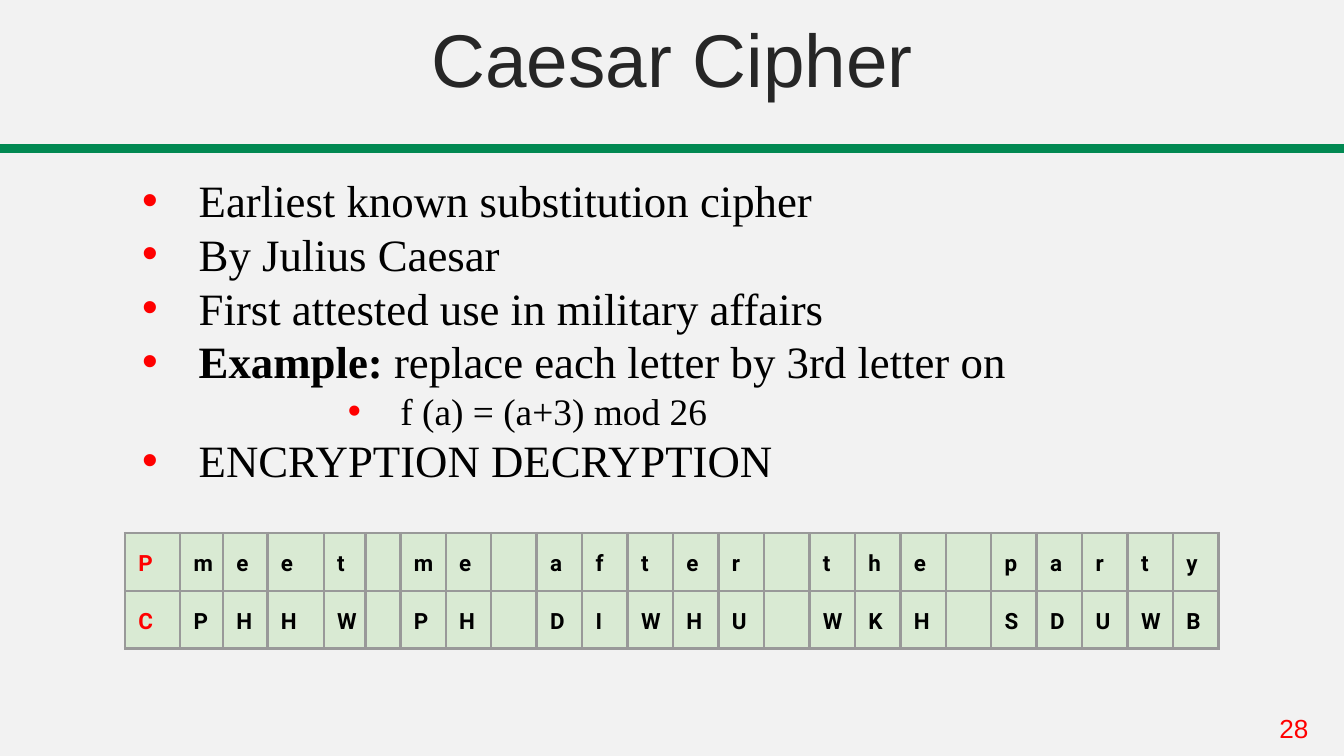
from typing import NamedTuple

from lxml.etree import SubElement
from pptx import Presentation
from pptx.dml.color import RGBColor
from pptx.enum.shapes import MSO_SHAPE as Shape
from pptx.enum.text import MSO_ANCHOR as Anchor, PP_ALIGN as Align
from pptx.oxml.ns import qn
from pptx.util import Inches, Pt

COLORS = {
    "background": "F2F2F2", "bar": "018952", "title": "262626", "text": "000000",
    "accent": "FF0000", "cell": "D9EAD3", "border": "999999",
}
WIDTH = Inches(10)
HEIGHT = WIDTH * 9 // 16


class Region(NamedTuple):
    """A place on a grid of 100 columns by 100 rows."""
    column: float
    row: float
    columns: float
    rows: float

    def lengths(self) -> list[int]:
        sides = (WIDTH, HEIGHT, WIDTH, HEIGHT)
        return [round(share * side / 100) for share, side in zip(self, sides)]


class Style(NamedTuple):
    font: str
    size: float
    color: str
    bold: bool = False


class Bullet(NamedTuple):
    text: str
    lead: str = ""
    level: int = 0
    size: int = 24
    indent: float = 0.5
    hanging: float = 0.42
    before: float = 0


BULLETS = [
    Bullet("Earliest known substitution cipher", before=2.5),
    Bullet("By Julius Caesar"),
    Bullet("First attested use in military affairs"),
    Bullet("replace each letter by 3rd letter on", lead="Example: "),
    Bullet("f (a) = (a+3) mod 26", level=3, size=20, indent=2, hanging=0.39),
    Bullet("ENCRYPTION DECRYPTION"),
]
MESSAGE = "meet me after the party"
SHIFT = 3
# The first columns vary; the rest share what is left of the table's width
TABLE = Region(9.3, 70.5, 81.4, 14.6)
FIRST_COLUMNS = [4.1, 3.2, 3.3, 4.2, 3.1, 2.6]
OTHER_COUNT = 1 + len(MESSAGE) - len(FIRST_COLUMNS)
COLUMN_SHARES = FIRST_COLUMNS + [(TABLE.columns - sum(FIRST_COLUMNS)) / OTHER_COUNT] * OTHER_COUNT


def rgb(name: str) -> RGBColor:
    return RGBColor.from_string(COLORS[name])


def style_font(para, style: Style) -> None:
    font = para.font
    font.name, font.size, font.bold = style.font, Pt(style.size), style.bold
    font.color.rgb = rgb(style.color)


def add_frame(page, region: Region):
    frame = page.shapes.add_textbox(*region.lengths()).text_frame
    frame.word_wrap = True
    return frame


def add_label(page, region: Region, text: str, style: Style,
              align=Align.LEFT, anchor=Anchor.TOP) -> None:
    frame = add_frame(page, region)
    frame.vertical_anchor = anchor
    para = frame.paragraphs[0]
    para.text, para.alignment = text, align
    style_font(para, style)


def add_bullets(page, region: Region, bullets: list[Bullet]) -> None:
    frame = add_frame(page, region)
    for index, bullet in enumerate(bullets):
        para = frame.add_paragraph() if index else frame.paragraphs[0]
        para.level = bullet.level
        para.space_before = Pt(bullet.before)
        style_font(para, Style("Times New Roman", bullet.size, "text"))
        if bullet.lead:
            span = para.add_run()
            span.text, span.font.bold = bullet.lead, True
        para.add_run().text = bullet.text
        props = para._p.get_or_add_pPr()
        props.set("marL", str(Inches(bullet.indent)))
        props.set("indent", str(-Inches(bullet.hanging)))
        # Bullet settings belong before the default run settings
        defaults = props.find(qn("a:defRPr"))
        color = SubElement(props, qn("a:buClr"))
        SubElement(color, qn("a:srgbClr"), val=COLORS["accent"])
        face = SubElement(props, qn("a:buFont"), typeface="Arial")
        mark = SubElement(props, qn("a:buChar"), char="•")
        for part in (color, face, mark):
            defaults.addprevious(part)


def add_borders(cell) -> None:
    props = cell._tc.get_or_add_tcPr()
    for side in ("lnL", "lnR", "lnT", "lnB"):
        line = SubElement(props, qn(f"a:{side}"), w=str(Pt(1.5)))
        fill = SubElement(line, qn("a:solidFill"))
        SubElement(fill, qn("a:srgbClr"), val=COLORS["border"])


def fill_cell(cell, text: str, color: str) -> None:
    add_borders(cell)
    cell.fill.solid()
    cell.fill.fore_color.rgb = rgb("cell")
    cell.margin_left = cell.margin_right = Inches(0.1)
    cell.margin_top = cell.margin_bottom = Inches(0.1)
    para = cell.text_frame.paragraphs[0]
    para.text, para.line_spacing = text, 1.15
    style_font(para, Style("Roboto", 12, color, bold=True))


def encrypt(message: str) -> str:
    return "".join(
        chr((ord(letter) - ord("a") + SHIFT) % 26 + ord("A")) if letter.isalpha() else letter
        for letter in message)


def add_cipher_table(page, region: Region) -> None:
    lines = ["P" + MESSAGE, "C" + encrypt(MESSAGE)]
    table = page.shapes.add_table(len(lines), len(COLUMN_SHARES), *region.lengths()).table
    for table_column, share in zip(table.columns, COLUMN_SHARES):
        table_column.width = round(WIDTH * share / 100)
    for table_row, line in zip(table.rows, lines):
        for index, (cell, letter) in enumerate(zip(table_row.cells, line)):
            fill_cell(cell, letter.strip(), "text" if index else "accent")


def add_bar(page, region: Region) -> None:
    bar = page.shapes.add_shape(Shape.RECTANGLE, *region.lengths())
    bar.shadow.inherit = False
    bar.fill.solid()
    bar.fill.fore_color.rgb = bar.line.color.rgb = rgb("bar")
    bar.line.width = Pt(1.75)


def main() -> None:
    deck = Presentation()
    deck.slide_width, deck.slide_height = WIDTH, HEIGHT
    page = deck.slides.add_slide(deck.slide_layouts[6])
    page.background.fill.solid()
    page.background.fill.fore_color.rgb = rgb("background")

    # Heading, rule and page number
    add_bar(page, Region(0, 19.3, 100, 0.75))
    add_label(page, Region(94.2, 93.4, 5.8, 6), "28", Style("Arial", 14, "accent"))
    add_label(page, Region(0, 0, 100, 14.4), "Caesar Cipher",
              Style("Arial", 40, "title"), Align.CENTER, Anchor.BOTTOM)

    # Facts and worked example
    add_bullets(page, Region(8.8, 22, 82.5, 41), BULLETS)
    add_cipher_table(page, TABLE)

    deck.save("out.pptx")


if __name__ == "__main__":
    main()
